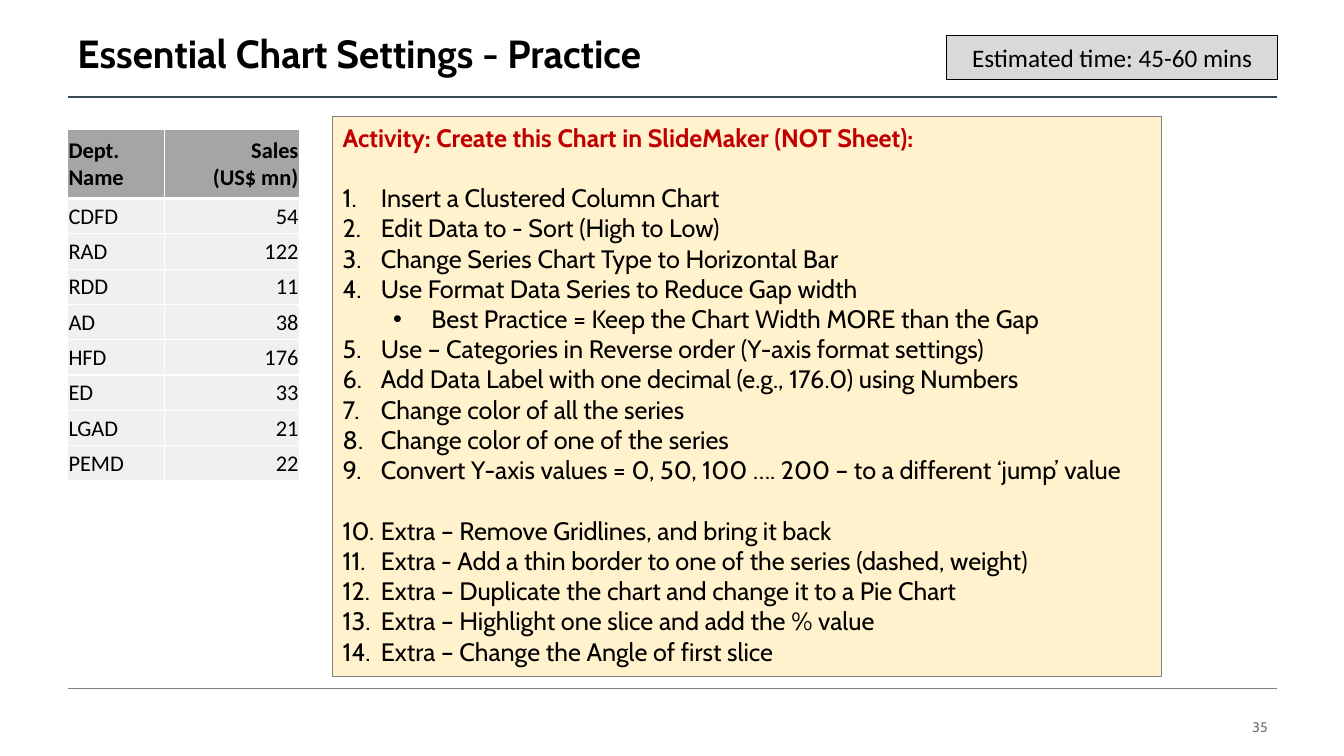
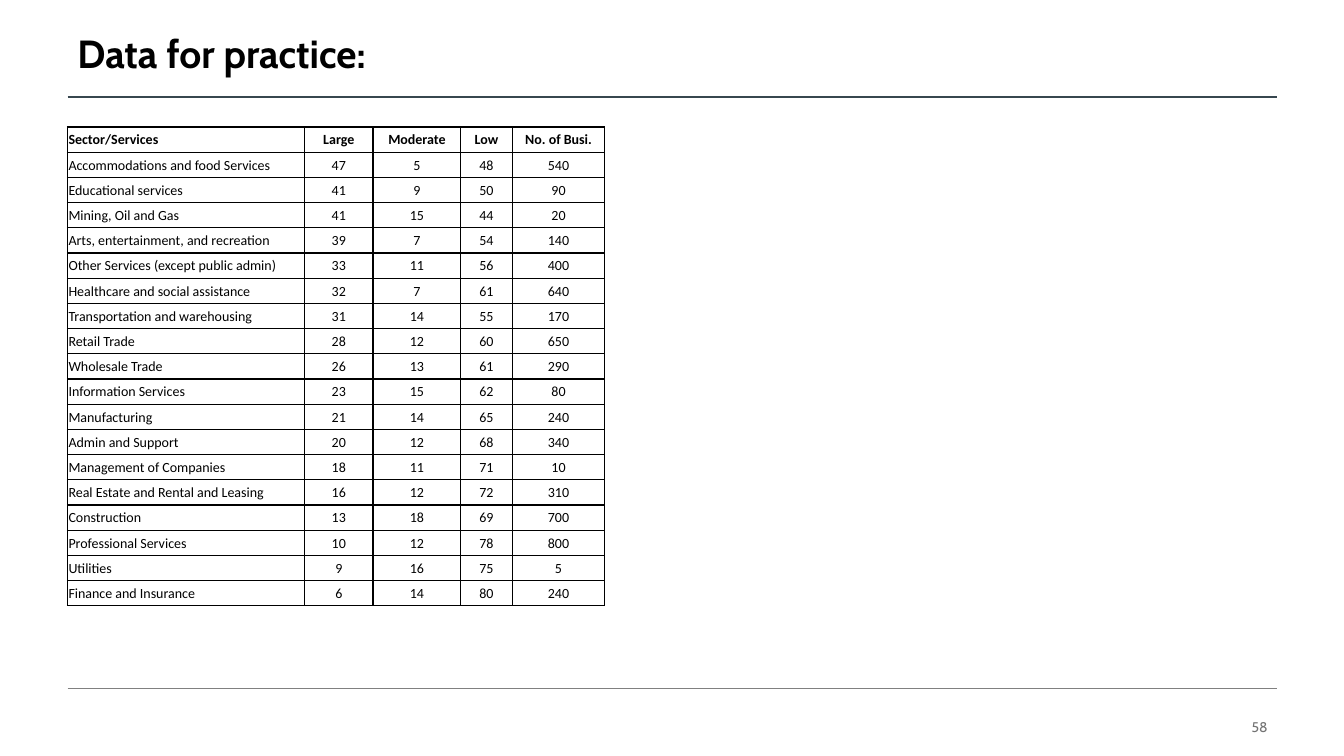
from lxml.etree import SubElement
from pptx import Presentation
from pptx.dml.color import RGBColor
from pptx.enum.shapes import MSO_CONNECTOR, MSO_SHAPE
from pptx.enum.text import MSO_ANCHOR, PP_ALIGN
from pptx.oxml.ns import qn
from pptx.util import Inches, Pt

COLORS = {
    "black": "000000", "white": "FFFFFF", "rule": "37474F", "gray": "808080",
    "page": "737373", "red": "C00000", "cream": "FFF2CC", "badge": "D9D9D9",
    "head": "A5A5A5", "row": "F0F0F0",
}
LEFT, WIDE = 0.67, 12

# Content
TASK = "Activity: Create this Chart in SlideMaker (NOT Sheet):"
STEPS = [
    "Insert a Clustered Column Chart",
    "Edit Data to - Sort (High to Low)",
    "Change Series Chart Type to Horizontal Bar",
    "Use Format Data Series to Reduce Gap width",
    "Best Practice = Keep the Chart Width MORE than the Gap",
    "Use – Categories in Reverse order (Y-axis format settings)",
    "Add Data Label with one decimal (e.g., 176.0) using Numbers",
    "Change color of all the series",
    "Change color of one of the series",
    "Convert Y-axis values = 0, 50, 100 …. 200 – to a different ‘jump’ value",
    "Extra – Remove Gridlines, and bring it back",
    "Extra - Add a thin border to one of the series (dashed, weight)",
    "Extra – Duplicate the chart and change it to a Pie Chart",
    "Extra – Highlight one slice and add the % value",
    "Extra – Change the Angle of first slice",
]
TIP = 4  # step shown as a sub-bullet
GAPS = (0, 10)  # steps that open a new group
SALES = [
    ("Dept. Name", "Sales\n(US$ mn)"),
    ("CDFD", 54), ("RAD", 122), ("RDD", 11), ("AD", 38),
    ("HFD", 176), ("ED", 33), ("LGAD", 21), ("PEMD", 22),
]
SECTORS = [
    ("Sector/Services", "Large", "Moderate", "Low", "No. of Busi."),
    ("Accommodations and food Services", 47, 5, 48, 540),
    ("Educational services", 41, 9, 50, 90),
    ("Mining, Oil and Gas", 41, 15, 44, 20),
    ("Arts, entertainment, and recreation", 39, 7, 54, 140),
    ("Other Services (except public admin)", 33, 11, 56, 400),
    ("Healthcare and social assistance", 32, 7, 61, 640),
    ("Transportation and warehousing", 31, 14, 55, 170),
    ("Retail Trade", 28, 12, 60, 650),
    ("Wholesale Trade", 26, 13, 61, 290),
    ("Information Services", 23, 15, 62, 80),
    ("Manufacturing", 21, 14, 65, 240),
    ("Admin and Support", 20, 12, 68, 340),
    ("Management of Companies", 18, 11, 71, 10),
    ("Real Estate and Rental and Leasing", 16, 12, 72, 310),
    ("Construction", 13, 18, 69, 700),
    ("Professional Services", 10, 12, 78, 800),
    ("Utilities", 9, 16, 75, 5),
    ("Finance and Insurance", 6, 14, 80, 240),
]


def color(name):
    return RGBColor.from_string(COLORS[name])


def style(para, size, tint="black", bold=False, face="Cabin", align=PP_ALIGN.LEFT):
    para.alignment = align
    font = para.font
    font.name, font.size, font.bold = face, Pt(size), bold
    font.color.rgb = color(tint)


# Shared parts
def rule(slide, top, tint, width):
    line = slide.shapes.add_connector(
        MSO_CONNECTOR.STRAIGHT, Inches(LEFT), Inches(top),
        Inches(LEFT + WIDE), Inches(top))
    line.line.color.rgb = color(tint)
    line.line.width = Pt(width)
    SubElement(line._element.spPr, qn("a:effectLst"))


def label(slide, text, box, size, **look):
    frame = slide.shapes.add_textbox(*map(Inches, box)).text_frame
    frame.word_wrap = True
    frame.vertical_anchor = MSO_ANCHOR.MIDDLE
    para = frame.paragraphs[0]
    para.text = text
    style(para, size, **look)
    return para


def new_slide(deck, title, page):
    slide = deck.slides.add_slide(deck.slide_layouts[6])
    rule(slide, 0.96, "rule", 1.5)
    rule(slide, 6.83, "gray", 0.25)
    label(slide, title, (LEFT, 0.22, WIDE, 0.67), 28, bold=True).line_spacing = 0.9
    label(slide, str(page), (9.67, 7.08, 3, 0.27), 10, tint="page",
          align=PP_ALIGN.RIGHT)
    return slide


def panel(slide, box, fill, edge, width):
    shape = slide.shapes.add_shape(MSO_SHAPE.RECTANGLE, *map(Inches, box))
    shape.shadow.inherit = False
    shape.fill.solid()
    shape.fill.fore_color.rgb = color(fill)
    shape.line.color.rgb = color(edge)
    shape.line.width = Pt(width)
    shape.text_frame.word_wrap = True
    return shape.text_frame


# Tables
def border(cell, tint, widths):
    props = cell._tc.get_or_add_tcPr()
    for side, width in zip("LRTB", widths):
        line = SubElement(props, qn(f"a:ln{side}"), w=str(Pt(width)))
        fill = SubElement(line, qn("a:solidFill"))
        SubElement(fill, qn("a:srgbClr"), val=COLORS[tint])


def grid(slide, rows, top, cols, heights, size, align, fills, edge, thick):
    """Draw a table; thick is the width of the line under the header."""
    table = slide.shapes.add_table(
        len(rows), len(cols), Inches(LEFT), Inches(top),
        Inches(sum(cols)), Inches(sum(heights))).table
    for col, width in zip(table.columns, cols):
        col.width = Inches(width)
    for r, row in enumerate(rows):
        table.rows[r].height = Inches(heights[r])
        for c, value in enumerate(row):
            cell = table.cell(r, c)
            border(cell, edge, (1, 1, thick if r == 1 else 1, thick if r == 0 else 1))
            cell.fill.solid()
            cell.fill.fore_color.rgb = color(fills[min(r, 1)])
            cell.margin_left = cell.margin_right = cell.margin_top = Inches(0.01)
            cell.margin_bottom = 0
            cell.vertical_anchor = MSO_ANCHOR.MIDDLE
            cell.text_frame.text = str(value)
            for para in cell.text_frame.paragraphs:
                style(para, size, bold=r == 0, face="Calibri",
                      align=align if c else PP_ALIGN.LEFT)


# Numbered steps
def bullet(para, tip):
    props = para._p.get_or_add_pPr()
    props.set("marL", str(Inches(0.88 if tip else 0.38)))
    props.set("indent", str(Inches(-0.38)))
    if tip:
        para.level = 1
        SubElement(props, qn("a:buFont"), typeface="Arial")
        SubElement(props, qn("a:buChar"), char="•")
    else:
        SubElement(props, qn("a:buFont"), typeface="+mj-lt")
        SubElement(props, qn("a:buAutoNum"), type="arabicPeriod")


def activity(slide):
    frame = panel(slide, (3.3, 1.16, 8.22, 5.55), "cream", "gray", 0.75)
    frame.vertical_anchor = MSO_ANCHOR.TOP
    head = frame.paragraphs[0]
    head.text = TASK
    style(head, 18, "red", True)
    for i, step in enumerate(STEPS):
        para = frame.add_paragraph()
        para.text = step
        bullet(para, i == TIP)
        if i in GAPS:
            para.space_before = Pt(21.6)
        style(para, 18)


def main():
    deck = Presentation()
    deck.slide_width, deck.slide_height = Inches(13.33), Inches(7.5)

    # Practice
    slide = new_slide(deck, "Essential Chart Settings - Practice", 35)
    grid(slide, SALES, 1.28, (0.96, 1.34), [0.69] + [0.35] * 8, 16,
         PP_ALIGN.RIGHT, ("head", "row"), "white", 3)
    activity(slide)
    badge = panel(slide, (9.39, 0.35, 3.28, 0.44), "badge", "black", 1)
    badge.vertical_anchor = MSO_ANCHOR.MIDDLE
    badge.text = "Estimated time: 45-60 mins"
    style(badge.paragraphs[0], 18, face="Calibri", align=PP_ALIGN.CENTER)

    # Data
    slide = new_slide(deck, "Data for practice:", 58)
    grid(slide, SECTORS, 1.26, (2.35, 0.68, 0.87, 0.51, 0.92),
         [0.25] * len(SECTORS), 10, PP_ALIGN.CENTER, ("white", "white"), "black", 1)

    deck.save("out.pptx")


if __name__ == "__main__":
    main()
